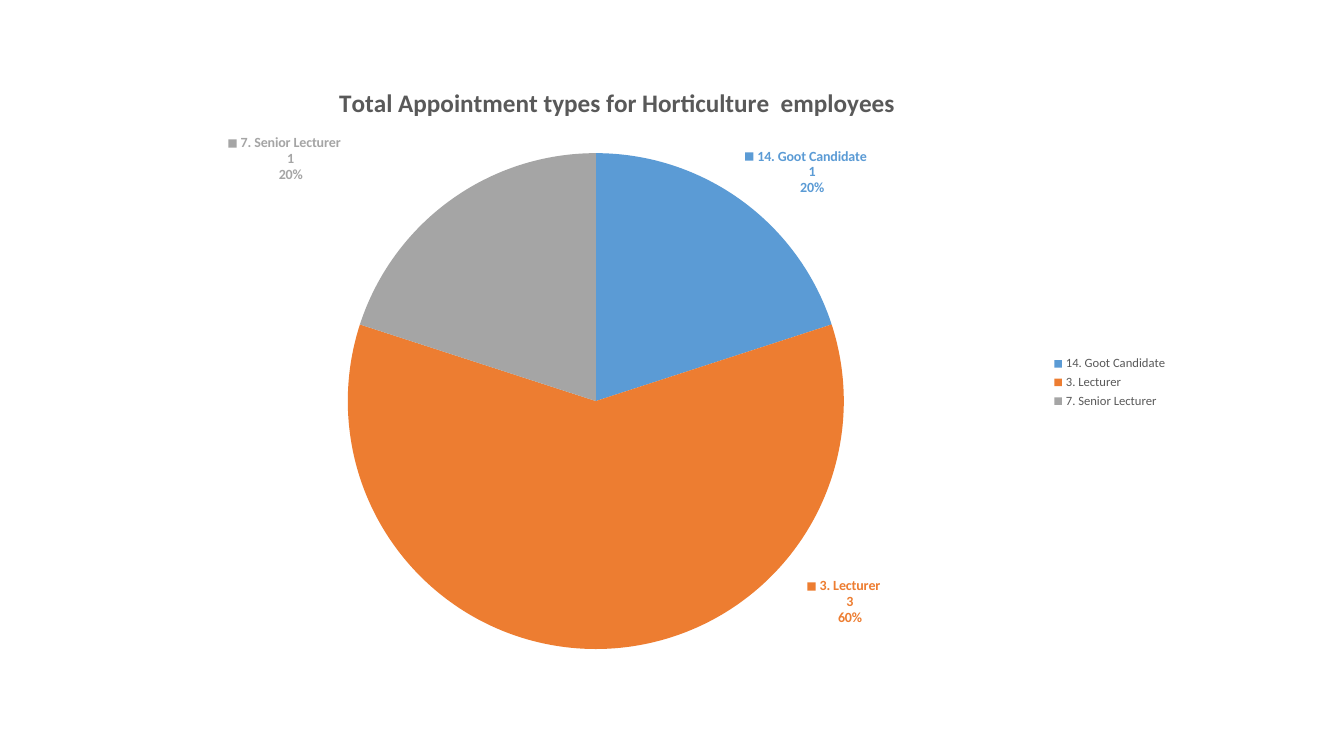
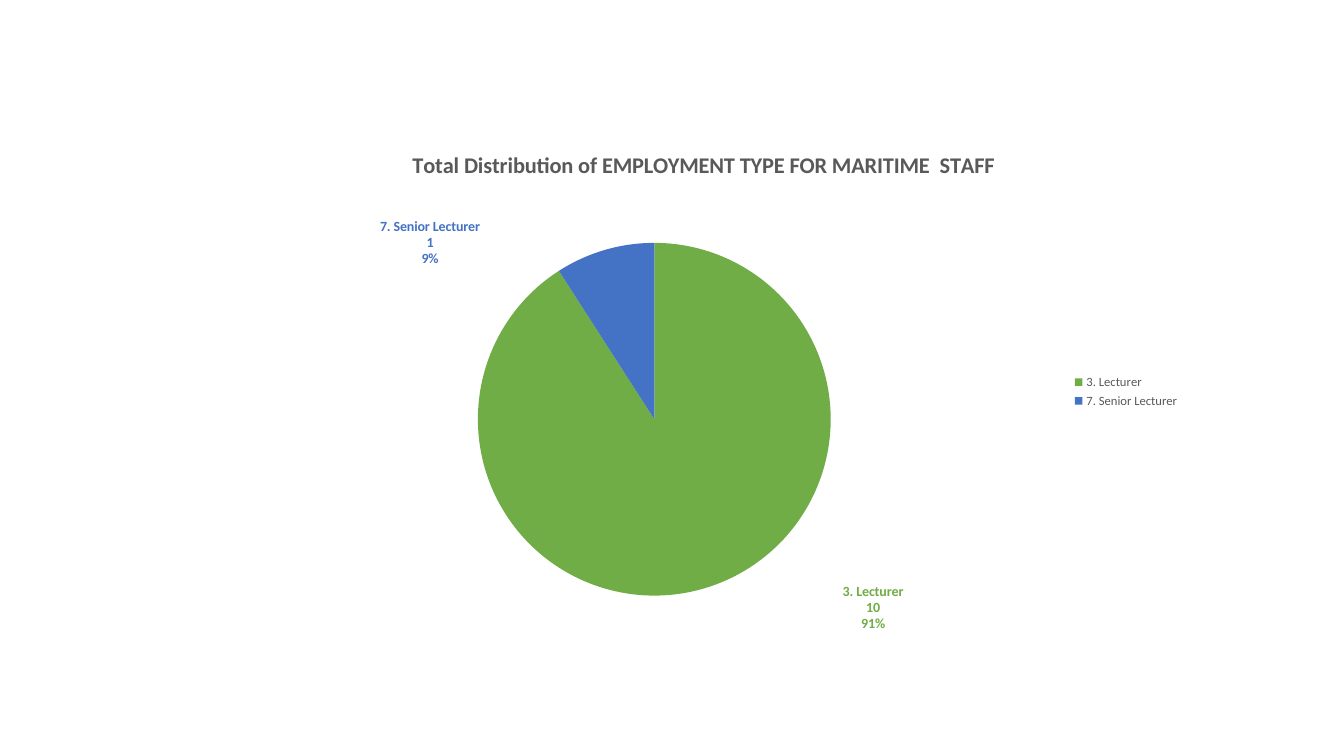
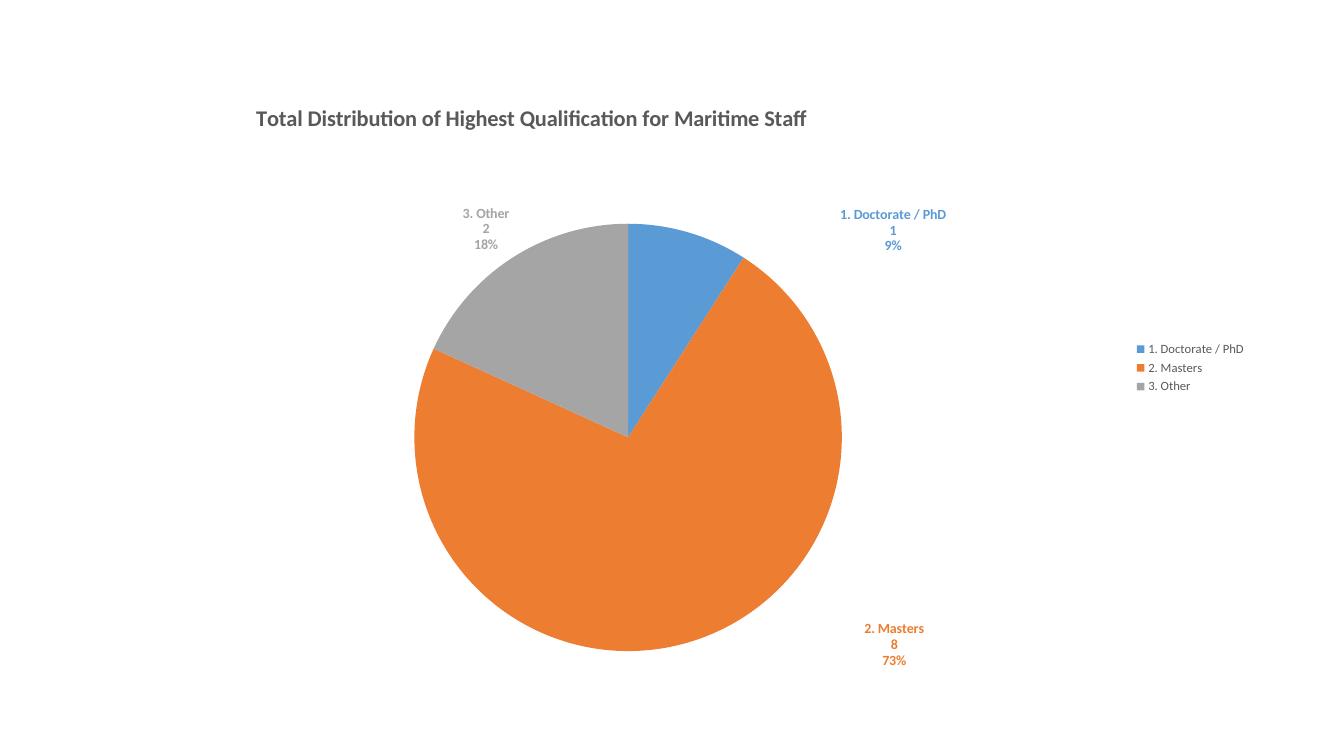
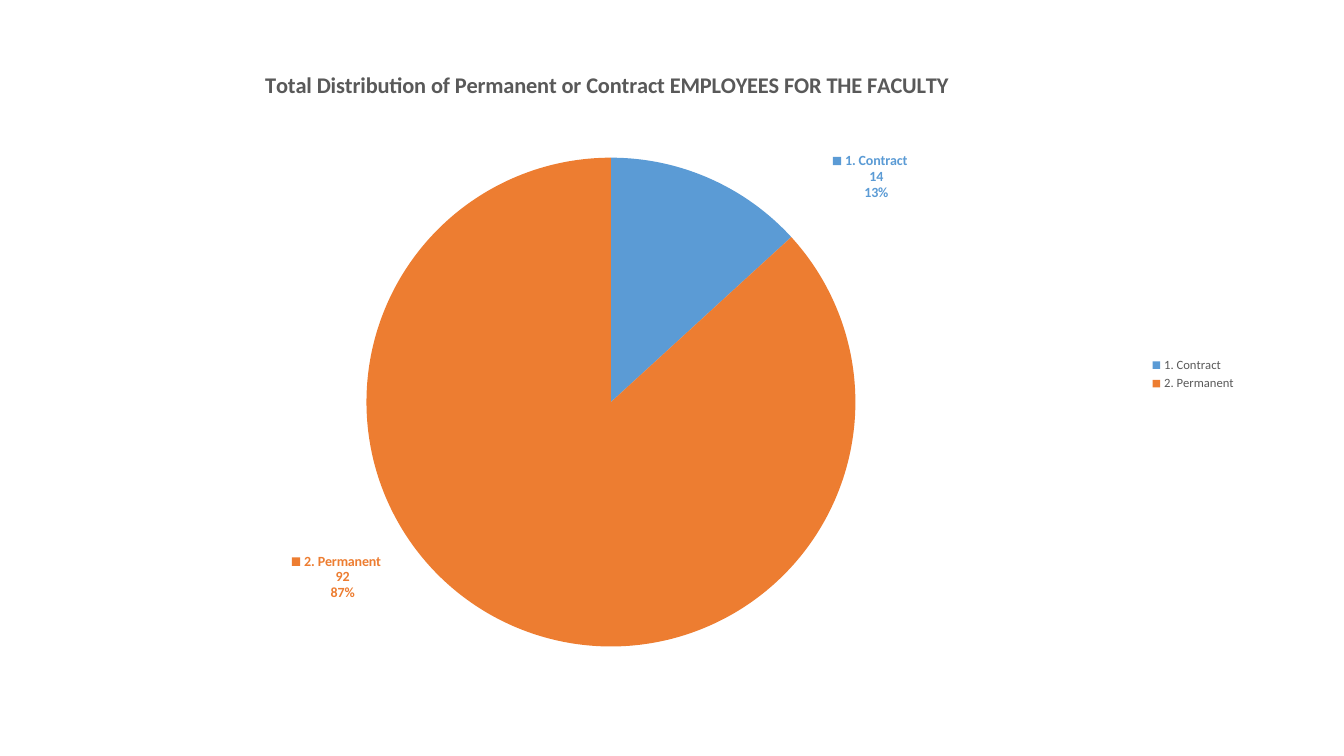
from lxml.etree import SubElement
from pptx import Presentation
from pptx.chart.data import CategoryChartData
from pptx.dml.color import RGBColor
from pptx.enum.chart import XL_CHART_TYPE, XL_LABEL_POSITION, XL_LEGEND_POSITION
from pptx.oxml.ns import qn
from pptx.util import Inches, Pt

COLOURS = {
    "blue": "5B9BD5",
    "orange": "ED7D31",
    "grey": "A5A5A5",
    "green": "70AD47",
    "royal": "4472C4",
    "text": "595959",
    "black": "000000",
}

FONTS = {
    "chart": {"size": 10, "bold": False, "colour": "black"},
    "title": {"size": 16, "bold": True, "colour": "text"},
    "legend": {"size": 9, "bold": False, "colour": "text"},
    "label": {"size": 10, "bold": True},
}

CHARTS = [
    {
        "box": (1.51, 0.48, 10.17, 6.63),
        "title": "Total Appointment types for Horticulture  employees",
        "title_at": (3.32, 0.8),
        "title_size": 18,
        "pie": (5.91, 3.98, 4.92),
        "keys": True,
        "slices": [
            ("14. Goot Candidate", 1, "blue", (0, 0)),
            ("3. Lecturer", 3, "orange", (2.46, -0.76)),
            ("7. Senior Lecturer", 1, "grey", (-1.05, -0.13)),
        ],
    },
    {
        "box": (2.08, 1.23, 9.72, 5.31),
        "title": "Total Distribution of EMPLOYMENT TYPE FOR MARITIME  STAFF",
        "title_at": (4.05, 1.45),
        "pie": (6.49, 4.16, 3.5),
        "slices": [
            ("3. Lecturer", 10, "green", (1.36, -0.1)),
            ("7. Senior Lecturer", 1, "royal", (-1.22, 0.22)),
        ],
    },
    {
        "box": (0.6, 0.29, 11.86, 6.72),
        "title": "Total Distribution of Highest Qualification for Maritime Staff",
        "title_at": (2.5, 0.98),
        "pie": (6.23, 4.34, 4.24),
        "slices": [
            ("1. Doctorate / PhD", 1, "blue", (1.49, 0.27)),
            ("2. Masters", 8, "orange", (1.73, -0.27)),
            ("3. Other", 2, "grey", (0, 0)),
        ],
    },
    {
        "box": (0.58, 0.46, 11.78, 6.51),
        "title": "Total Distribution of Permanent or Contract EMPLOYEES FOR THE FACULTY",
        "title_at": (2.59, 0.65),
        "pie": (6.06, 3.99, 4.85),
        "keys": True,
        "slices": [
            ("1. Contract", 14, "blue", (1.2, 0.27)),
            ("2. Permanent", 92, "orange", (-1.28, -0.77)),
        ],
    },
]


def rgb(name):
    return RGBColor.from_string(COLOURS[name])


def style_font(font, role, **changes):
    values = {**FONTS[role], **changes}
    font.color.rgb = rgb(values["colour"])
    settings = {"name": "Calibri", "size": Pt(values["size"]), "bold": values["bold"]}
    for attribute, value in settings.items():
        setattr(font, attribute, value)


def set_layout(parent, index, settings):
    for old_layout in parent.findall(qn("c:layout")):
        parent.remove(old_layout)
    layout = parent.makeelement(qn("c:layout"))
    parent.insert(index, layout)
    manual = SubElement(layout, qn("c:manualLayout"))
    for tag, value in settings.items():
        SubElement(manual, qn("c:" + tag)).set("val", str(value))


def place_title(chart, details):
    left, top, width, height = details["box"]
    title_left, title_top = details["title_at"]
    chart.has_title = True
    title = chart.chart_title
    paragraph = title.text_frame.paragraphs[0]
    run = paragraph.add_run()
    run.text = details["title"]
    style_font(run.font, "title", size=details.get("title_size", 16))
    set_layout(title.element, 1, {
        "xMode": "edge", "yMode": "edge",
        "x": (title_left - left) / width, "y": (title_top - top) / height,
    })


def place_pie(chart, details):
    left, top, width, height = details["box"]
    centre_x, centre_y, diameter = details["pie"]
    plot_area = chart.element.find(".//" + qn("c:plotArea"))
    set_layout(plot_area, 0, {
        "layoutTarget": "inner", "xMode": "edge", "yMode": "edge",
        "x": (centre_x - diameter / 2 - left) / width,
        "y": (centre_y - diameter / 2 - top) / height,
        "w": diameter / width, "h": diameter / height,
    })


def label_slices(chart, details):
    width, height = details["box"][2:]
    series = chart.plots[0].series[0]
    labels = series.data_labels
    for attribute in ("show_value", "show_percentage", "show_category_name"):
        setattr(labels, attribute, True)
    labels.position = XL_LABEL_POSITION.OUTSIDE_END
    style_font(labels.font, "label", colour=details["slices"][0][2])
    for index, (_, _, colour, _) in enumerate(details["slices"]):
        point = series.points[index]
        point.format.fill.solid()
        point.format.fill.fore_color.rgb = rgb(colour)
        style_font(point.data_label.font, "label", colour=colour)
        point.data_label.position = XL_LABEL_POSITION.OUTSIDE_END
    shown = {
        "showLegendKey": details.get("keys", False),
        "showVal": True, "showCatName": True, "showPercent": True,
    }
    for label, (_, _, _, (shift_x, shift_y)) in zip(
        chart.element.iter(qn("c:dLbl")), details["slices"]
    ):
        for tag, visible in shown.items():
            label.find(qn("c:" + tag)).set("val", str(int(visible)))
        SubElement(label, qn("c:separator")).text = "\n"
        if shift_x or shift_y:
            set_layout(label, 1, {"x": shift_x / width, "y": shift_y / height})
    for leader_lines in chart.element.iter(qn("c:showLeaderLines")):
        leader_lines.set("val", "0")


def add_pie_slide(presentation, details):
    slide = presentation.slides.add_slide(presentation.slide_layouts[6])
    names, values, _, _ = zip(*details["slices"])
    data = CategoryChartData()
    data.categories = names
    data.add_series("Series 1", values)
    box = [Inches(length) for length in details["box"]]
    chart = slide.shapes.add_chart(XL_CHART_TYPE.PIE, *box, data).chart
    style_font(chart.font, "chart")
    chart.plots[0].vary_by_categories = True
    chart.has_legend = True
    chart.legend.position = XL_LEGEND_POSITION.RIGHT
    chart.legend.include_in_layout = False
    style_font(chart.legend.font, "legend")
    place_title(chart, details)
    place_pie(chart, details)
    label_slices(chart, details)


def main():
    presentation = Presentation()
    presentation.slide_width = Inches(13.33)
    presentation.slide_height = Inches(7.5)
    for details in CHARTS:
        add_pie_slide(presentation, details)
    presentation.save("out.pptx")


if __name__ == "__main__":
    main()
